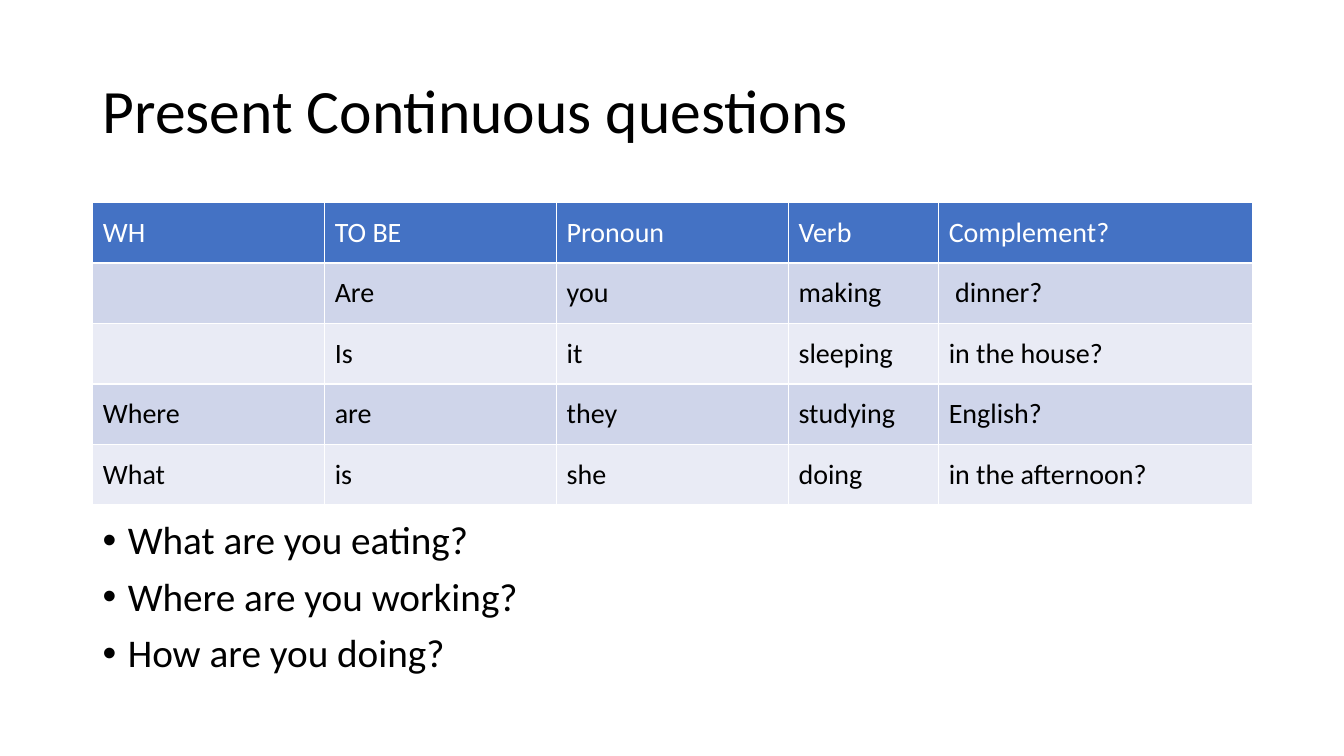
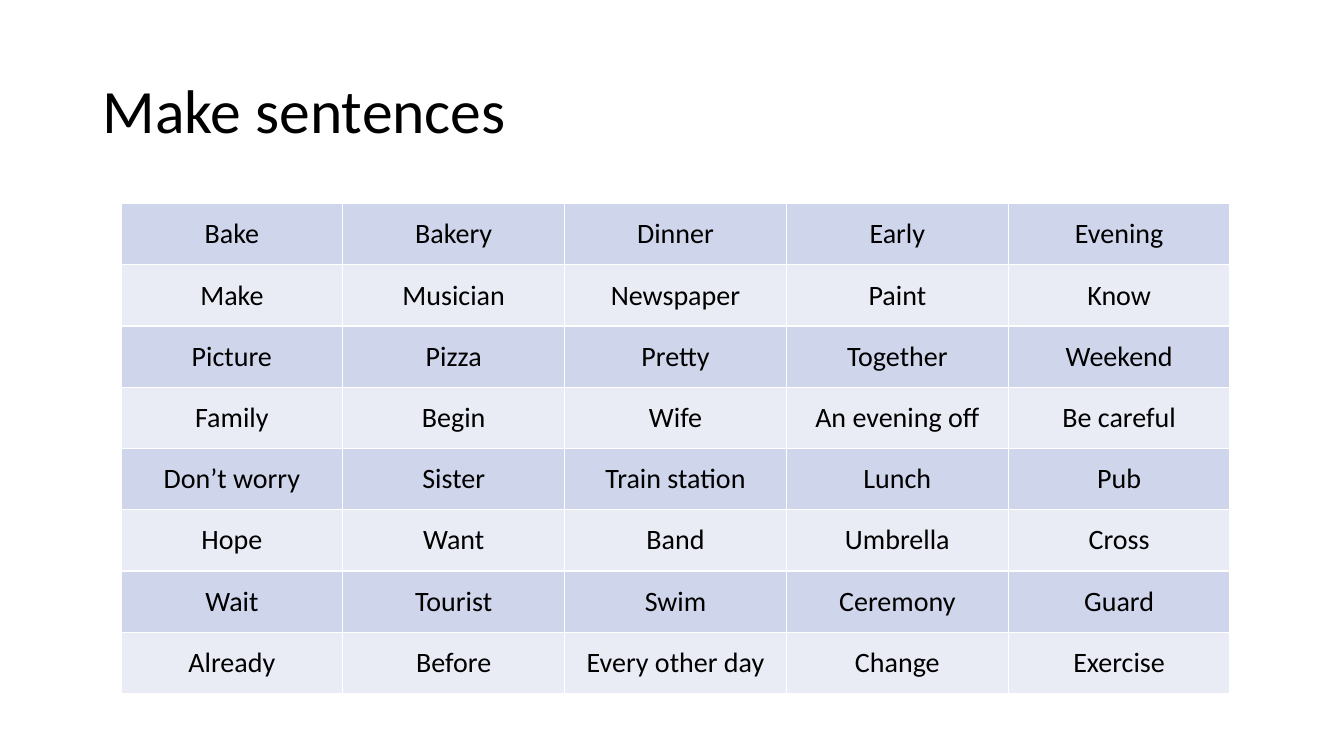
from lxml import etree
from pptx import Presentation
from pptx.dml.color import RGBColor
from pptx.enum.text import MSO_ANCHOR, PP_ALIGN
from pptx.oxml.ns import qn
from pptx.util import Pt

PX = 9144
FONT = "Calibri"
BLACK, WHITE, BLUE = "000000", "FFFFFF", "4472C4"
BANDS = ["CFD5EA", "E9EBF5"]


def style(p, size, color):
    p.font.name = FONT
    p.font.size = Pt(size)
    p.font.color.rgb = RGBColor.from_string(color)


def add_text(s, top, height, lines, size, anchor):
    sp = s.shapes.add_textbox(92 * PX, top * PX, 1150 * PX, height * PX)
    tf = sp.text_frame
    tf.word_wrap = True
    tf.vertical_anchor = anchor
    tf.text = "\n".join(lines)
    for p in tf.paragraphs:
        p.line_spacing = 0.9
        style(p, size, BLACK)
    return tf


prs = Presentation()
prs.slide_width, prs.slide_height = 1333 * PX, 750 * PX

questions = [
    ["WH", "TO BE", "Pronoun", "Verb", "Complement?"],
    ["", "Are", "you", "making", " dinner?"],
    ["", "Is", "it", "sleeping", "in the house?"],
    ["Where", "are", "they", "studying", "English?"],
    ["What", "is", "she", "doing", "in the afternoon?"],
]
words = [
    ["Bake", "Bakery", "Dinner", "Early", "Evening"],
    ["Make", "Musician", "Newspaper", "Paint", "Know"],
    ["Picture", "Pizza", "Pretty", "Together", "Weekend"],
    ["Family", "Begin", "Wife", "An evening off", "Be careful"],
    ["Don’t worry", "Sister", "Train station", "Lunch", "Pub"],
    ["Hope", "Want", "Band", "Umbrella", "Cross"],
    ["Wait", "Tourist", "Swim", "Ceremony", "Guard"],
    ["Already", "Before", "Every other day", "Change", "Exercise"],
]
examples = ["What are you eating?", "Where are you working?", "How are you doing?"]

pages = [
    ("Present Continuous questions", questions, 92, 201, [230, 230, 230, 149, 311],
     300, 1, PP_ALIGN.LEFT, examples),
    ("Make sentences", words, 120, 202, [220] * 5,
     486, 0, PP_ALIGN.CENTER, []),
]

for title, rows, left, top, widths, height, headers, align, bullets in pages:
    s = prs.slides.add_slide(prs.slide_layouts[6])
    add_text(s, 40, 145, [title], 44, MSO_ANCHOR.MIDDLE)

    if bullets:
        tf = add_text(s, 512, 179, bullets, 28, MSO_ANCHOR.TOP)
        for p in tf.paragraphs:
            p.space_before = Pt(10)
            pPr = p._p.get_or_add_pPr()
            pPr.set("marL", str(25 * PX))
            pPr.set("indent", str(-25 * PX))
            font = etree.Element(qn("a:buFont"), typeface="Arial")
            bullet = etree.Element(qn("a:buChar"), char="•")
            pPr.find(qn("a:spcBef")).addnext(font)
            font.addnext(bullet)

    table = s.shapes.add_table(len(rows), len(widths), left * PX, top * PX,
                               sum(widths) * PX, height * PX).table
    table.first_row = table.horz_banding = False
    for column, width in zip(table.columns, widths):
        column.width = width * PX
    for i, row in enumerate(rows):
        is_header = i < headers
        fill = BLUE if is_header else BANDS[(i - headers) % 2]
        for j, text in enumerate(row):
            cell = table.cell(i, j)
            cell.text = text
            cell.vertical_anchor = MSO_ANCHOR.MIDDLE
            p = cell.text_frame.paragraphs[0]
            p.alignment = align
            style(p, 20, WHITE if is_header else BLACK)
            tcPr = cell._tc.get_or_add_tcPr()
            for side in ["lnL", "lnR", "lnT", "lnB"]:
                ln = etree.SubElement(tcPr, qn("a:" + side), w=str(Pt(1)))
                solid = etree.SubElement(ln, qn("a:solidFill"))
                etree.SubElement(solid, qn("a:srgbClr"), val=WHITE)
            cell.fill.solid()
            cell.fill.fore_color.rgb = RGBColor.from_string(fill)

prs.save("out.pptx")
